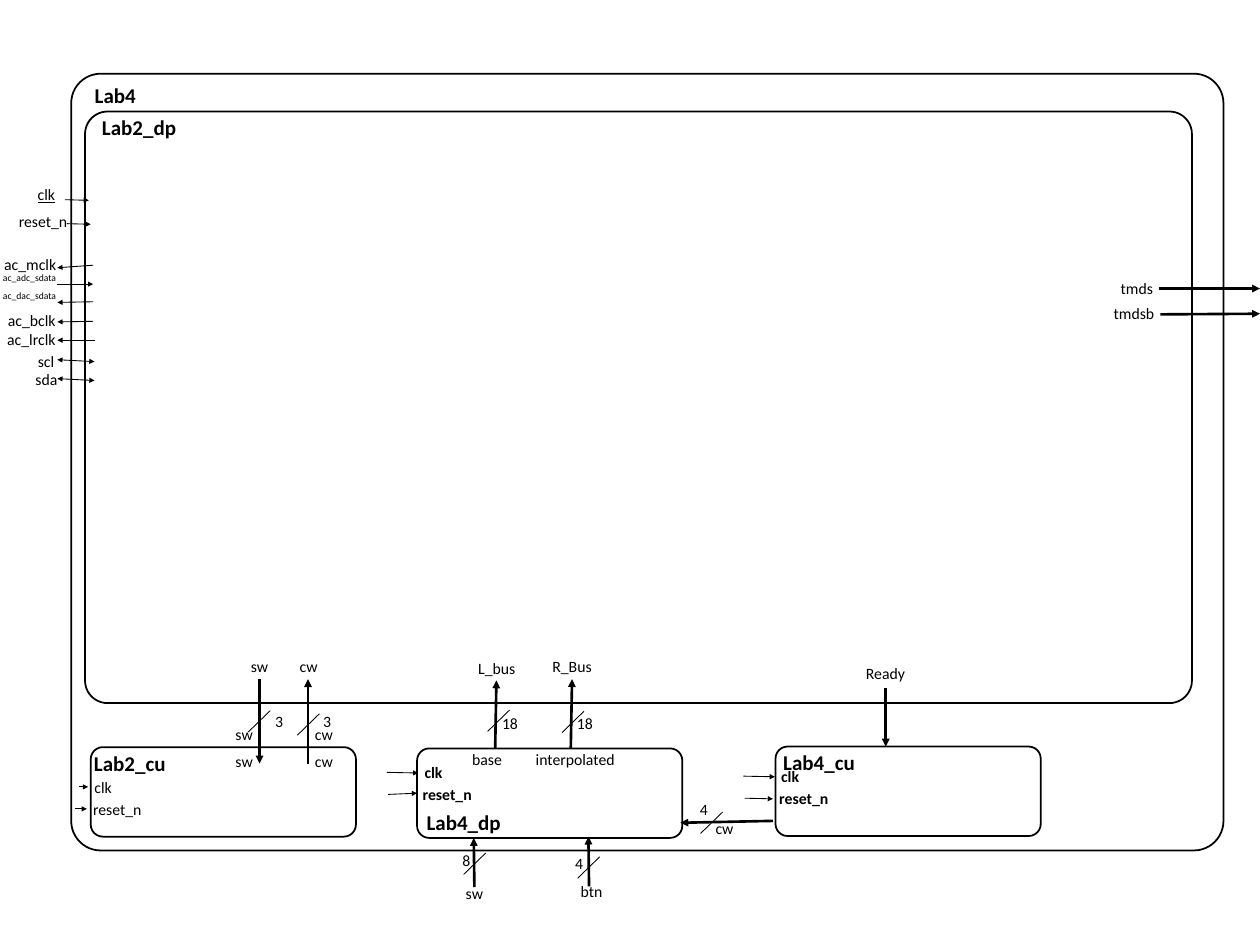
import pptx
import pptx.util
import pptx.dml.color
import pptx.enum.shapes
import pptx.enum.text
import pptx.oxml
import pptx.oxml.ns
from dataclasses import dataclass


@dataclass(frozen=True)
class Theme:
    ink: pptx.dml.color.RGBColor = pptx.dml.color.RGBColor(0, 0, 0)
    font: str = "Calibri"
    heading: int = 24
    label: int = 18
    small: int = 11
    thin: int = 1
    outline: int = 2
    bus: int = 3


theme = Theme()
align = pptx.enum.text.PP_ALIGN
L, C, R = align.LEFT, align.CENTER, align.RIGHT

prs = pptx.Presentation()
prs.slide_width = pptx.util.Inches(20)
prs.slide_height = pptx.util.Inches(15)
COL = prs.slide_width / 20
ROW = prs.slide_height / 15
s = prs.slides.add_slide(prs.slide_layouts[5])


def label(text, x, y, w, al=L, size=theme.label, bold=False, sp=None):
    """Write text in a new text box, or in sp, placed in grid columns and rows."""
    box = int(x * COL), int(y * ROW), int(w * COL), int(size / 45 * ROW)
    if sp is None:
        sp = s.shapes.add_textbox(*box)
    sp.left, sp.top, sp.width, sp.height = box
    tf = sp.text_frame
    tf.word_wrap = True
    tf.auto_size = pptx.enum.text.MSO_AUTO_SIZE.SHAPE_TO_FIT_TEXT
    tf.vertical_anchor = pptx.enum.text.MSO_ANCHOR.TOP
    if al == R:
        tf.margin_left = 0
    p = tf.paragraphs[0]
    p.text, p.alignment = text, al
    p.font.name, p.font.size, p.font.bold = theme.font, pptx.util.Pt(size), bold
    p.font.color.rgb = theme.ink
    return p


def wire(x1, y1, x2, y2, width=theme.thin, ends=("tailEnd",)):
    """Draw a line; tailEnd puts an arrowhead at its end, headEnd at its start."""
    c = s.shapes.add_connector(pptx.enum.shapes.MSO_CONNECTOR.STRAIGHT,
                               int(x1 * COL), int(y1 * ROW), int(x2 * COL), int(y2 * ROW))
    c.line.color.rgb = theme.ink
    c.line.width = pptx.util.Pt(width)
    spPr = c.element.spPr
    ln = spPr.find(pptx.oxml.ns.qn("a:ln"))
    for end in ends:
        head = pptx.oxml.parse_xml(f'<a:{end} {pptx.oxml.ns.nsdecls("a")} type="triangle"/>')
        ln.append(head)
    spPr.append(pptx.oxml.parse_xml(f'<a:effectLst {pptx.oxml.ns.nsdecls("a")}/>'))
    return c


# Blocks
UNIT_W, UNIT_H = 4.21, 1.42
blocks = {}
for name, x, y, w, h, radius in [
    ("Lab4", 1.13, 1.17, 18.29, 12.33, 0.038),
    ("Lab2_dp", 1.35, 1.77, 17.57, 9.39, 0.038),
    ("Lab2_cu", 1.44, 11.86, UNIT_W, UNIT_H, 0.135),
    ("Lab4_dp", 6.62, 11.88, UNIT_W, UNIT_H, 0.135),
    ("Lab4_cu", 12.31, 11.85, UNIT_W, UNIT_H, 0.135),
]:
    sp = s.shapes.add_shape(pptx.enum.shapes.MSO_SHAPE.ROUNDED_RECTANGLE,
                            int(x * COL), int(y * ROW), int(w * COL), int(h * ROW))
    sp.adjustments[0] = radius
    sp.shadow.inherit = False
    sp.fill.background()
    sp.line.color.rgb = theme.ink
    sp.line.width = pptx.util.Pt(theme.outline)
    blocks[name] = sp

label("Lab4", 1.33, 1.26, 1, C, theme.heading, True, s.shapes.title)
for name, x, y, al in [("Lab2_dp", 1.52, 1.77, L), ("Lab2_cu", 1.05, 11.86, C),
                       ("Lab4_dp", 6.35, 12.8, C), ("Lab4_cu", 11.99, 11.84, C)]:
    label(name, x, y, 2.02, al, theme.heading, True)

# Ports on the left edge
label("clk", 0.5, 2.89, 0.58).font.underline = True
label("reset_n", 0.2, 3.31, 1.02)
wire(1.03, 3.17, 1.41, 3.18)
wire(1.06, 3.55, 1.44, 3.56)

IN, OUT, BOTH = ("tailEnd",), ("headEnd",), ("headEnd", "tailEnd")
for name, right, top, size, y1, y2, x2, ends in [
    ("ac_mclk", 0.99, 4, theme.label, 4.25, 4.21, 1.48, OUT),
    ("ac_adc_sdata", 0.99, 4.27, theme.small, 4.51, 4.51, 1.48, IN),
    ("ac_dac_sdata", 0.99, 4.56, theme.small, 4.8, 4.79, 1.48, OUT),
    ("ac_bclk", 0.98, 4.89, theme.label, 5.11, 5.1, 1.48, OUT),
    ("ac_lrclk", 0.98, 5.19, theme.label, 5.4, 5.4, 1.5, OUT),
    ("scl", 0.96, 5.53, theme.label, 5.71, 5.74, 1.5, BOTH),
    ("sda", 1.01, 5.82, theme.label, 6.01, 6.04, 1.5, BOTH),
]:
    label(name, 0, top, right, R, size)
    wire(0.91, y1, x2, y2, ends=ends)

# Clock and reset of the lower units
label("clk", 1.4, 12.29, 0.58)
label("reset_n", 1.38, 12.64, 1.09)
wire(1.25, 12.49, 1.4, 12.49)
wire(1.19, 12.84, 1.38, 12.84)
resets = {}
for name, x, y in [("Lab4_dp", 6.14, 12.26), ("Lab4_cu", 11.8, 12.32)]:
    label("clk", x + 0.5, y - 0.2, 0.58, bold=True)
    label("reset_n", x + 0.47, y + 0.15, 1.09, bold=True)
    wire(x, y, x + 0.5, y + 0.01)
    resets[name] = wire(x + 0.02, y + 0.35, x + 0.47, y + 0.36)
resets["Lab4_dp"].end_connect(blocks["Lab4_dp"], 1)

# Buses
for x1, y1, x2, y2 in [
    (4.12, 10.78, 4.12, 12.12),
    (4.89, 12.12, 4.89, 10.78),
    (7.86, 11.88, 7.88, 10.8),
    (9.06, 11.88, 9.08, 10.78),
    (14.06, 10.92, 14.06, 11.85),
    (12.27, 13.03, 10.8, 13.06),
    (7.53, 14.08, 7.52, 13.3),
    (9.35, 14.07, 9.34, 13.28),
    (18.4, 4.58, 20, 4.58),
    (18.42, 4.99, 20, 4.98),
]:
    wire(x1, y1, x2, y2, theme.bus)

# Bus widths: slash start, then number position
for bits, x, y, text_x, text_y in [
    ("3", 3.94, 11.62, 4.27, 11.25),
    ("3", 4.72, 11.67, 5.03, 11.25),
    ("18", 7.74, 11.61, 7.87, 11.28),
    ("18", 8.92, 11.63, 9.06, 11.28),
    ("4", 11.12, 13.23, 11.01, 12.65),
    ("8", 7.36, 13.88, 7.24, 13.46),
    ("4", 9.17, 13.94, 9.03, 13.5),
]:
    wire(x, y, x + 0.35, y - 0.34, ends=())
    label(bits, text_x, text_y, 0.62)

# Signal names
for name, x, y, w, al in [
    ("sw", 3.81, 10.38, 0.62, C),
    ("cw", 4.4, 10.38, 1, C),
    ("sw", 3.49, 11.46, 0.62, R),
    ("cw", 4.9, 11.46, 1, L),
    ("sw", 3.49, 11.88, 0.62, R),
    ("cw", 4.9, 11.88, 1, L),
    ("L_bus", 7.11, 10.4, 1.55, C),
    ("R_Bus", 8.22, 10.38, 1.72, C),
    ("base", 7.07, 11.86, 1.32, C),
    ("interpolated", 8.36, 11.85, 1.54, C),
    ("Ready", 13.28, 10.49, 1.55, C),
    ("cw", 10.64, 12.95, 1.72, C),
    ("sw", 6.67, 13.98, 1.72, C),
    ("btn", 8.53, 13.95, 1.72, C),
    ("tmds", 17.32, 4.38, 1.08, R),
    ("tmdsb", 17.34, 4.78, 1.08, R),
]:
    label(name, x, y, w, al)

prs.save("out.pptx")
